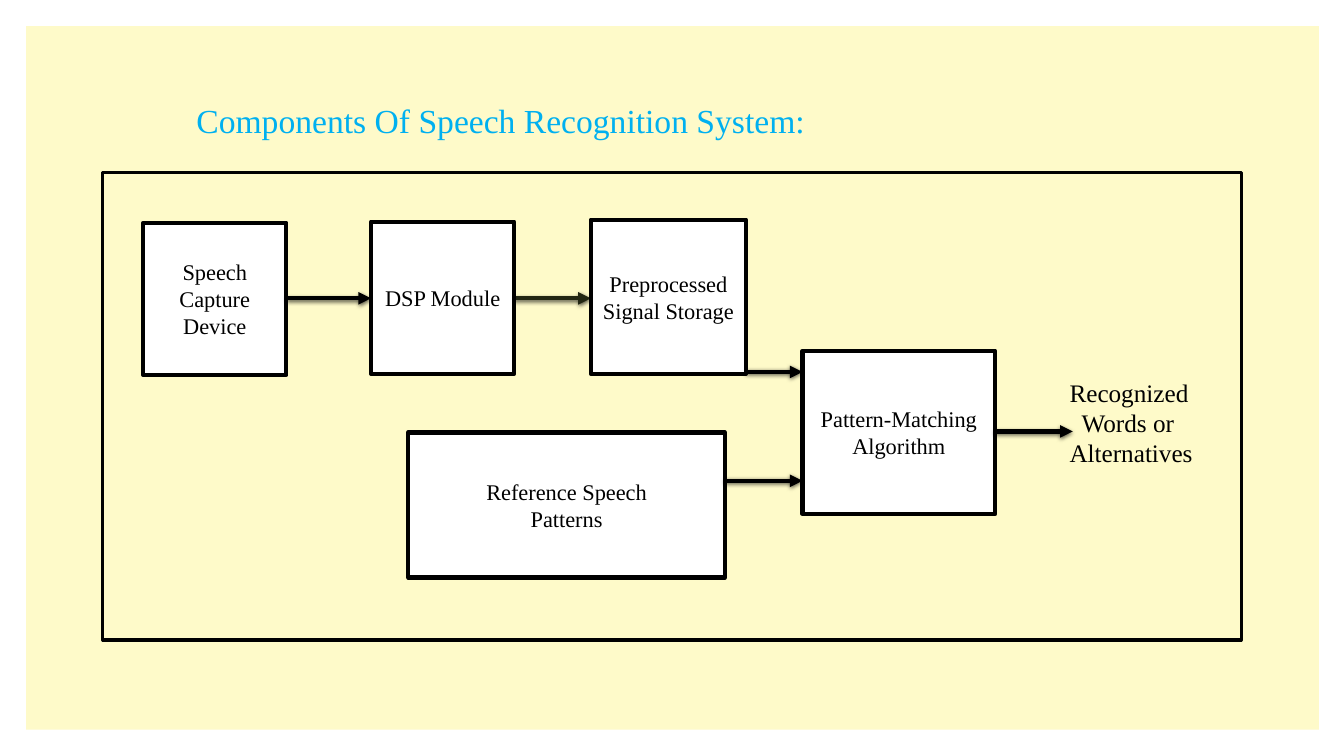
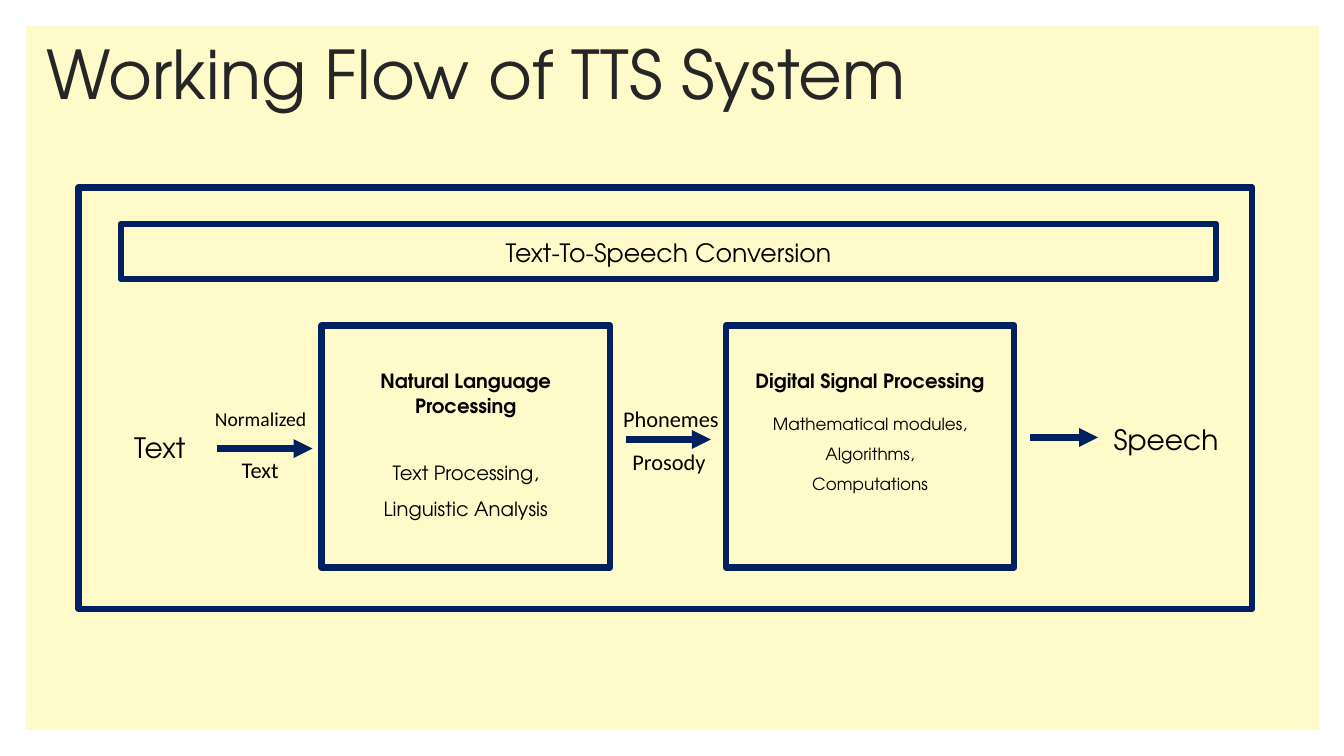
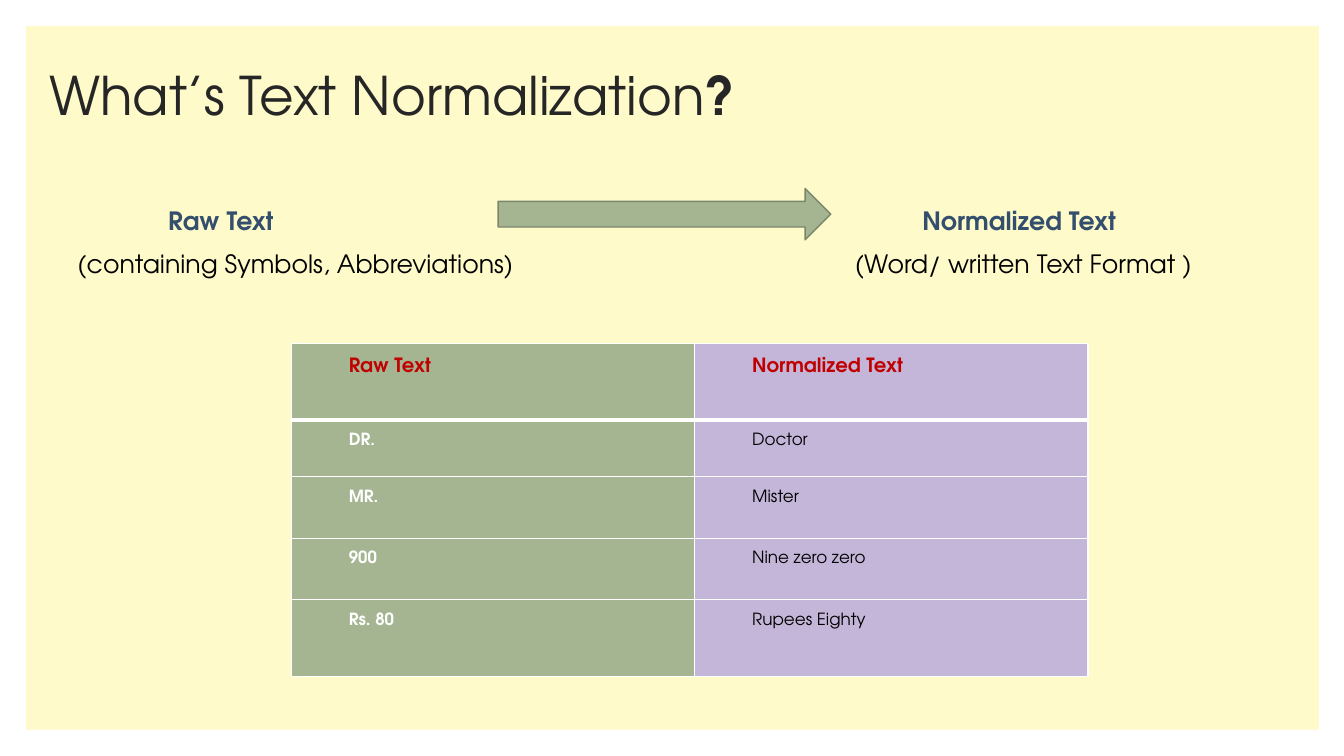
from dataclasses import dataclass

from lxml import etree
from pptx import Presentation
from pptx import util as u
from pptx.dml import color
from pptx.enum import shapes, text
from pptx.oxml import ns


@dataclass(frozen=True)
class Theme:
    panel: str = "FEFAC9"
    white: str = "FFFFFF"
    black: str = "000000"
    heading: str = "262626"
    sky: str = "00B0F0"
    navy: str = "002060"
    slate: str = "344E6D"
    red: str = "C00000"
    sage: str = "A5B592"
    sage_edge: str = "7A866C"
    lilac: str = "C4B6D9"
    olive: str = "222613"
    sans: str = "TeX Gyre Adventor"
    serif: str = "Times New Roman"
    label: str = "Calibri"
    display: int = 48
    title: int = 38
    subtitle: int = 24
    large: int = 20
    body: int = 18
    medium: int = 16
    small: int = 14
    tiny: int = 12


THEME = Theme()
CENTER = text.PP_ALIGN.CENTER
MIDDLE = text.MSO_ANCHOR.MIDDLE
SERIF = {"name": THEME.serif}
SPACED = {"alignment": CENTER, "line_spacing": 1.07, "space_after": u.Pt(8)}


def rgb(value):
    return color.RGBColor.from_string(value)


def add_xml(parent, tag, **attributes):
    return etree.SubElement(parent, ns.qn(tag), attributes)


class Slides:
    def __init__(self, theme):
        self.theme = theme
        self.deck = Presentation()
        self.deck.slide_width = u.Inches(13.33)
        self.deck.slide_height = u.Inches(7.5)
        self.page = None

    def new_page(self):
        self.page = self.deck.slides.add_slide(self.deck.slide_layouts[6])
        self.shape((0.26, 0.26, 12.82, 6.98), fill=self.theme.panel)

    def set_paras(self, frame, paras, style, anchor=None, top=0.05):
        frame.word_wrap = True
        frame.margin_top = u.Inches(top)
        if anchor is not None:
            frame.vertical_anchor = anchor
        for index, item in enumerate(paras):
            content, changes = (item, {}) if isinstance(item, str) else item
            para = frame.paragraphs[0] if index == 0 else frame.add_paragraph()
            look = {"size": self.theme.body, "name": self.theme.sans,
                    "bold": False, "color": self.theme.black, **style, **changes}
            for key in ("alignment", "line_spacing", "space_before", "space_after"):
                if key in look:
                    setattr(para, key, look[key])
            properties = para._p.get_or_add_pPr()
            for key in ("marL", "indent"):
                properties.set(key, str(u.Inches(look.get(key, 0))))
            spans = [(content, {})] if isinstance(content, str) else content
            for words, span_changes in spans:
                span = para.add_run()
                span.text = words
                span_look = {**look, **span_changes}
                span_look["size"] = u.Pt(span_look["size"])
                for key in ("size", "name", "bold"):
                    setattr(span.font, key, span_look[key])
                span.font.color.rgb = rgb(span_look["color"])

    def text(self, at, *paras, anchor=None, **style):
        box = self.page.shapes.add_textbox(*map(u.Inches, at))
        self.set_paras(box.text_frame, paras, style, anchor)

    def title(self, at, *spans, size):
        self.text(at, (spans, {}), anchor=MIDDLE, size=size,
                  color=self.theme.heading, line_spacing=0.9)

    def shape(self, at, *paras, kind=shapes.MSO_SHAPE.RECTANGLE, fill=None,
              line=None, width=1, anchor=MIDDLE, top=0.05, **style):
        shape = self.page.shapes.add_shape(kind, *map(u.Inches, at))
        shape.shadow.inherit = False
        if fill:
            shape.fill.solid()
            shape.fill.fore_color.rgb = rgb(fill)
        else:
            shape.fill.background()
        if line:
            shape.line.color.rgb = rgb(line)
            shape.line.width = u.Pt(width)
        else:
            shape.line.fill.background()
        if paras:
            self.set_paras(shape.text_frame, paras, {"alignment": CENTER, **style},
                           anchor, top)

    def arrow(self, start, end, y, line, width, shadow=False):
        arrow = self.page.shapes.add_connector(
            shapes.MSO_CONNECTOR.STRAIGHT, *map(u.Inches, (start, y, end, y)))
        arrow.line.color.rgb = rgb(line)
        arrow.line.width = u.Pt(width)
        add_xml(arrow.line._get_or_add_ln(), "a:tailEnd", type="triangle")
        effects = add_xml(arrow._element.spPr, "a:effectLst")
        if shadow:
            outer = add_xml(effects, "a:outerShdw", blurRad=str(u.Pt(3)),
                            dist=str(u.Pt(1)), dir="5400000", rotWithShape="0")
            tint = add_xml(outer, "a:srgbClr", val=self.theme.black)
            add_xml(tint, "a:alpha", val="63000")

    def cell_borders(self, cell, widths):
        properties = cell._tc.get_or_add_tcPr()
        for position, (side, width) in enumerate(widths.items()):
            line = etree.Element(ns.qn(f"a:ln{side}"), w=str(u.Pt(width)))
            add_xml(add_xml(line, "a:solidFill"), "a:srgbClr", val=self.theme.white)
            properties.insert(position, line)

    def table(self, at, columns, heights, rows, fills, looks, head_look):
        table = self.page.shapes.add_table(
            len(rows), len(columns), *map(u.Inches, at)).table
        table.first_row = table.horz_banding = False
        for column, width in zip(table.columns, columns):
            column.width = u.Inches(width)
        for number, (row, height) in enumerate(zip(rows, heights)):
            table.rows[number].height = u.Inches(height)
            for words, fill, look, cell in zip(row, fills, looks, table.rows[number].cells):
                cell.fill.solid()
                cell.fill.fore_color.rgb = rgb(fill)
                cell.margin_left = cell.margin_right = u.Inches(0.07)
                cell.margin_bottom = 0
                style = head_look if number == 0 else look
                self.set_paras(cell.text_frame, [words],
                               {"marL": 0.5, "line_spacing": 1.07, **style})
                cell.margin_top = u.Inches(0.13 if number == 0 else 0.12)
                self.cell_borders(cell, {"L": 1, "R": 1, "T": 3 if number == 1 else 1,
                                         "B": 3 if number == 0 else 1})


def recognition_page(slides):
    theme = slides.theme
    slides.new_page()
    slides.text((1.85, 0.94, 9.07, 0.5), "Components Of Speech Recognition System:",
                size=theme.subtitle, color=theme.sky, **SERIF)
    slides.shape((1.02, 1.71, 11.29, 4.64), line=theme.black, width=2.25)

    def stages(*items):
        for at, *paras in items:
            slides.shape(at, *paras, fill=theme.white, line=theme.black, width=3,
                         size=theme.medium, **SERIF)

    stages(((1.42, 2.21, 1.42, 1.51), "Speech Capture Device"),
           ((4.05, 4.29, 3.14, 1.44), "Reference Speech", "Patterns"),
           ((7.96, 3.48, 1.91, 1.62), "Pattern-Matching Algorithm"))
    for start, end, y, line in ((2.84, 3.68, 2.96, theme.black),
                                (5.1, 5.86, 2.96, theme.olive),
                                (7.4, 7.96, 3.69, theme.black),
                                (7.19, 7.96, 4.77, theme.black),
                                (9.87, 10.64, 4.28, theme.black)):
        slides.arrow(start, end, y, line, 3, shadow=True)
    stages(((5.86, 2.18, 1.54, 1.53), "Preprocessed Signal Storage"),
           ((3.68, 2.2, 1.42, 1.51), "DSP Module"))
    slides.text((10.51, 3.69, 1.8, 1.16), "Recognized",
                ("Words or Alternatives", {"indent": 0.12}), **SERIF)


def speech_page(slides):
    theme = slides.theme
    outline = {"line": theme.navy, "width": 4.5}
    slides.new_page()
    slides.title((0.36, 0.33, 9.52, 0.88), ("Working Flow of TTS System", {}),
                 size=theme.display)
    slides.shape((1.2, 2.22, 10.86, 0.55), "Text-To-Speech Conversion",
                 **outline, **SPACED)
    heading = {"size": theme.small, "bold": True}
    detail = {"size": theme.tiny, "line_spacing": 1.5, "space_after": u.Pt(0)}
    modules = (
        (3.19, ("Natural Language Processing", heading),
         ("Text Processing,", {"size": theme.small, "space_before": u.Pt(22)}),
         ("Linguistic Analysis", {"size": theme.small})),
        (7.2, ("Digital Signal Processing", heading),
         ("Mathematical modules, Algorithms,", detail), ("Computations", detail)))
    for left, *paras in modules:
        slides.shape((left, 3.23, 2.86, 2.4), *paras, anchor=text.MSO_ANCHOR.TOP,
                     top=0.41, **outline, **SPACED)
    for start, end, y in ((6.21, 7.05, 4.36), (10.22, 10.89, 4.34), (2.15, 3.1, 4.45)):
        slides.arrow(start, end, y, **outline)
    for at, words in (((1.07, 4, 1.03, 0.86), "Text"),
                      ((10.81, 4.02, 1.51, 0.66), "Speech")):
        slides.text(at, words, anchor=MIDDLE, size=theme.large, **SPACED)
    for at, words, size in (((2.22, 4.46, 0.72, 0.41), "Text", theme.medium),
                            ((1.71, 3.97, 1.75, 0.36), "Normalized", theme.small),
                            ((5.99, 3.95, 1.33, 0.41), "Phonemes", theme.medium),
                            ((6.12, 4.38, 1.03, 0.44), "Prosody", theme.medium)):
        slides.text(at, words, size=size, name=theme.label, **SPACED)
    slides.shape((0.78, 1.86, 11.64, 4.18), **outline)


def normalization_page(slides):
    theme = slides.theme
    slides.new_page()
    slides.title((0.39, 0.4, 10.4, 1.16), ("What’s Text Normalization", {}),
                 ("?", {"bold": True}), size=theme.title)
    for left, indent, heading, detail in (
            (0.67, 0.9, "Raw Text", "(containing Symbols, Abbreviations)"),
            (8.38, 0.67, "Normalized Text", "(Word/ written Text Format )")):
        slides.text((left, 1.99, 4.6, 0.9),
                    (heading, {"marL": indent, "bold": True, "color": theme.slate}),
                    (detail, {"space_before": u.Pt(9)}))
    slides.shape((4.94, 1.87, 3.3, 0.51), kind=shapes.MSO_SHAPE.RIGHT_ARROW,
                 fill=theme.sage, line=theme.sage_edge)
    slides.table(
        (2.89, 3.41, 7.9, 3.3), (4, 3.9), (0.76, 0.56, 0.61, 0.61, 0.76),
        (("Raw Text", "Normalized Text"), ("DR.", "Doctor"), ("MR.", "Mister"),
         ("900", "Nine zero zero"), ("Rs. 80", "Rupees Eighty")),
        fills=(theme.sage, theme.lilac),
        looks=({"size": theme.tiny, "bold": True, "color": theme.white},
               {"size": theme.tiny}),
        head_look={"size": theme.small, "bold": True, "color": theme.red})


def main():
    slides = Slides(THEME)
    for build in (recognition_page, speech_page, normalization_page):
        build(slides)
    slides.deck.save("out.pptx")


if __name__ == "__main__":
    main()
